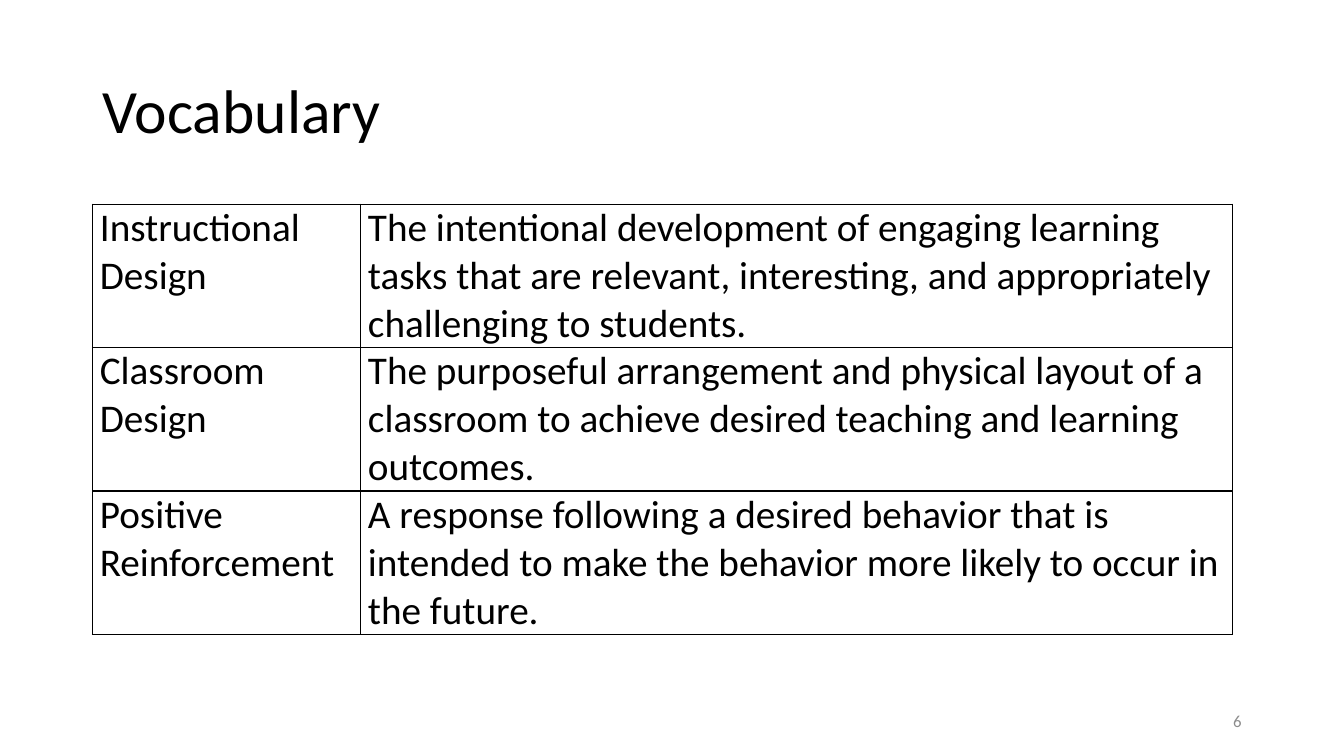
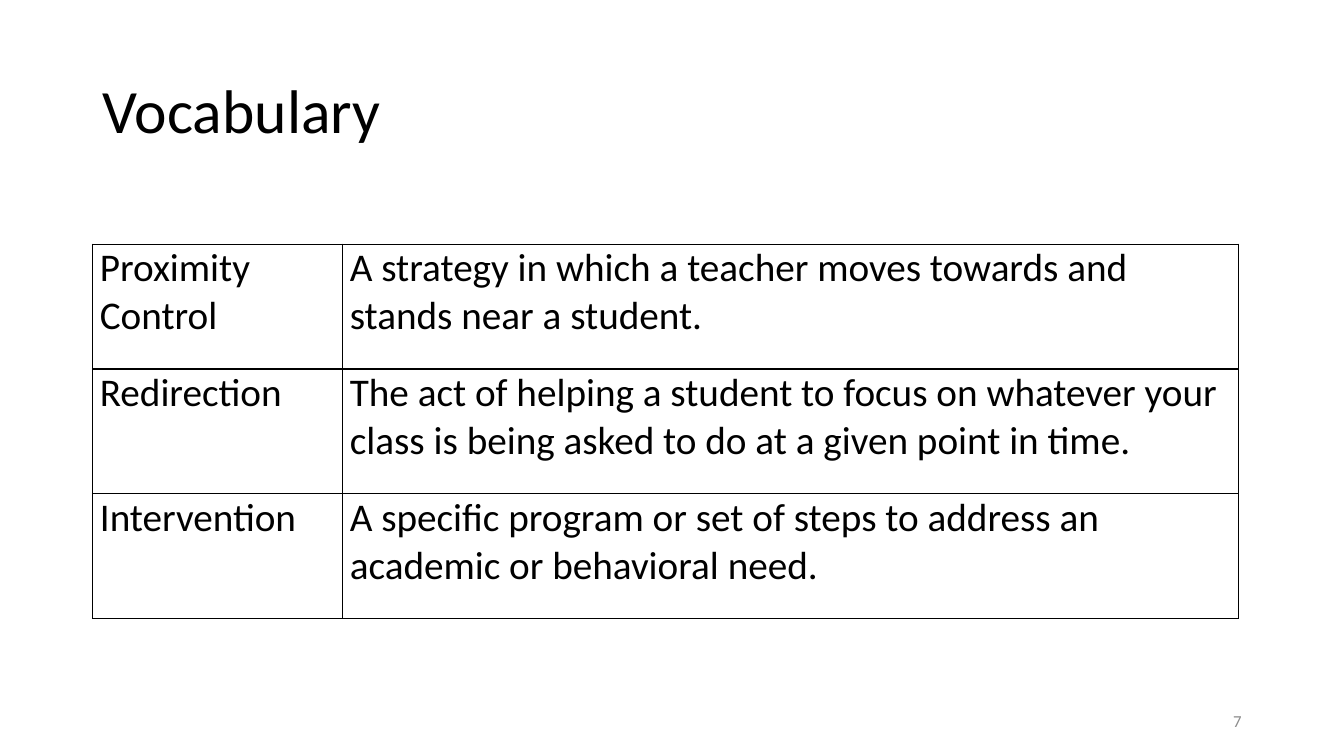
from lxml.etree import SubElement
from pptx import Presentation
from pptx.dml.color import RGBColor
from pptx.enum.text import MSO_ANCHOR, PP_ALIGN
from pptx.oxml.ns import qn
from pptx.util import Pt

BLACK = RGBColor(0x00, 0x00, 0x00)
GREY = RGBColor(0x8C, 0x8C, 0x8C)
FONT = "Calibri"
LEFT = 66
TITLE_ONLY = 5

PAGES = [
    dict(number=6, top=145.8, widths=(191.5, 623), height=102.5, terms=[
        ("Instructional Design",
         "The intentional development of engaging learning tasks that are "
         "relevant, interesting, and appropriately challenging to students."),
        ("Classroom Design",
         "The purposeful arrangement and physical layout of a classroom to "
         "achieve desired teaching and learning outcomes."),
        ("Positive Reinforcement",
         "A response following a desired behavior that is intended to make "
         "the behavior more likely to occur in the future."),
    ]),
    dict(number=7, top=174.4, widths=(178.5, 640), height=89.2, terms=[
        ("Proximity Control",
         "A strategy in which a teacher moves towards and stands near "
         "a student."),
        ("Redirection",
         "The act of helping a student to focus on whatever your class is "
         "being asked to do at a given point in time."),
        ("Intervention",
         "A specific program or set of steps to address an academic or "
         "behavioral need."),
    ]),
]


class Deck:
    """Holds the shared style and the slide being filled."""

    def __init__(self):
        self.prs = Presentation()
        self.prs.slide_width, self.prs.slide_height = Pt(960), Pt(540)
        self.slide = None

    def text(self, frame, words, size, color=BLACK, align=PP_ALIGN.LEFT):
        frame.word_wrap = True
        para = frame.paragraphs[0]
        para.alignment = align
        run = para.add_run()
        run.text = words
        run.font.name, run.font.size = FONT, Pt(size)
        run.font.color.rgb = color
        return para

    def start(self, title):
        layout = self.prs.slide_layouts[TITLE_ONLY]
        self.slide = self.prs.slides.add_slide(layout)
        shape = self.slide.shapes.title
        shape.left, shape.top = Pt(LEFT), Pt(28.8)
        shape.width, shape.height = Pt(828), Pt(104.4)
        shape.text_frame.vertical_anchor = MSO_ANCHOR.MIDDLE
        self.text(shape.text_frame, title, 44).line_spacing = 0.9

    def number(self, value):
        box = self.slide.shapes.add_textbox(
            Pt(678), Pt(500.5), Pt(216), Pt(28.8))
        box.text_frame.vertical_anchor = MSO_ANCHOR.MIDDLE
        self.text(box.text_frame, str(value), 12, GREY, PP_ALIGN.RIGHT)

    def border(self, cell):
        props = cell._tc.get_or_add_tcPr()
        for side in ("a:lnL", "a:lnR", "a:lnT", "a:lnB"):
            line = SubElement(props, qn(side), w=str(Pt(1)))
            fill = SubElement(line, qn("a:solidFill"))
            SubElement(fill, qn("a:srgbClr"), val=str(BLACK))

    def cell(self, cell, words):
        self.border(cell)
        cell.fill.background()
        cell.margin_left = cell.margin_right = Pt(5.4)
        cell.margin_top = cell.margin_bottom = Pt(0)
        self.text(cell.text_frame, words, 28)

    def table(self, top, widths, height, terms):
        table = self.slide.shapes.add_table(
            len(terms), len(widths), Pt(LEFT), Pt(top),
            Pt(sum(widths)), Pt(height * len(terms))).table
        table.first_row = table.horz_banding = False
        for col, width in zip(table.columns, widths):
            col.width = Pt(width)
        for row, entry in zip(table.rows, terms):
            row.height = Pt(height)
            for cell, words in zip(row.cells, entry):
                self.cell(cell, words)


def main():
    deck = Deck()
    for page in PAGES:
        deck.start("Vocabulary")
        deck.number(page["number"])
        deck.table(page["top"], page["widths"], page["height"], page["terms"])
    deck.prs.save("out.pptx")


if __name__ == "__main__":
    main()
